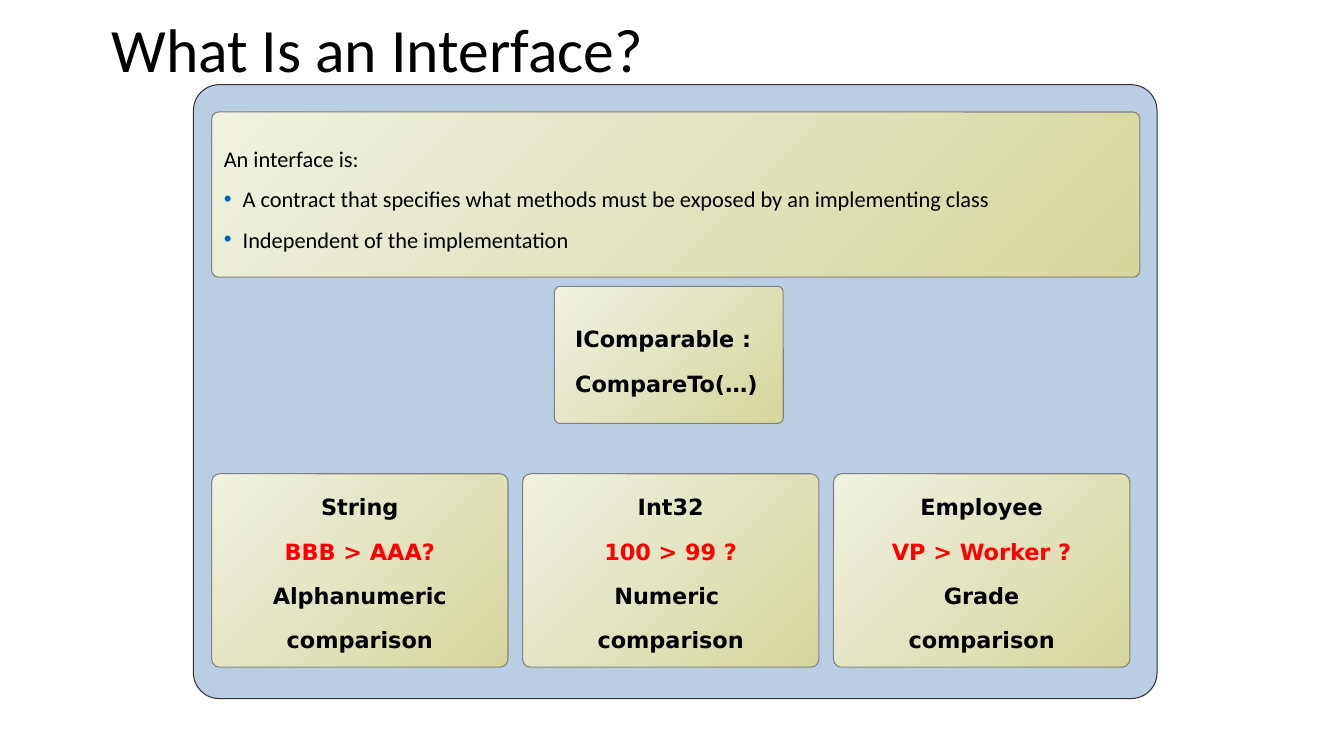
from dataclasses import dataclass

from lxml import etree
from pptx import Presentation
from pptx.dml.color import RGBColor
from pptx.enum.shapes import MSO_SHAPE
from pptx.enum.text import MSO_ANCHOR, PP_ALIGN
from pptx.oxml.ns import qn
from pptx.util import Pt

ROUNDED = MSO_SHAPE.ROUNDED_RECTANGLE
TOP, MIDDLE = MSO_ANCHOR.TOP, MSO_ANCHOR.MIDDLE
LEFT, CENTER = PP_ALIGN.LEFT, PP_ALIGN.CENTER


@dataclass(frozen=True)
class Theme:
    ink: str = "000000"
    question: str = "FF0000"
    bullet: str = "0563C1"
    panel: str = "BBCDE3"
    panel_edge: str = "333333"
    card_light: str = "F0F1E1"
    card_dark: str = "D5D69C"
    card_edge: str = "808080"
    prose_font: str = "Calibri"
    code_font: str = "DejaVu Sans"
    title_size: int = 44
    body_size: int = 16


THEME = Theme()


def rgb(color):
    return RGBColor.from_string(color)


def add_rounded(slide, left, top, width, height, edge):
    box = slide.shapes.add_shape(ROUNDED, Pt(left), Pt(top), Pt(width), Pt(height))
    box.adjustments[0] = 0.042
    box.shadow.inherit = False
    box.line.color.rgb = rgb(edge)
    box.line.width = Pt(0.75)
    return box


def add_panel(slide, left, top, width, height):
    panel = add_rounded(slide, left, top, width, height, THEME.panel_edge)
    panel.fill.solid()
    panel.fill.fore_color.rgb = rgb(THEME.panel)


def add_card(slide, left, top, width, height, anchor):
    card = add_rounded(slide, left, top, width, height, THEME.card_edge)
    card.fill.gradient()
    card.fill.gradient_angle = 315
    for stop, color in zip(card.fill.gradient_stops, (THEME.card_light, THEME.card_dark)):
        stop.position = 0 if color == THEME.card_light else 1
        stop.color.rgb = rgb(color)
    frame = card.text_frame
    frame.word_wrap = True
    frame.vertical_anchor = anchor
    frame.margin_left = frame.margin_top = frame.margin_right = 0
    frame.margin_bottom = Pt(3.6)
    return frame


def style_paragraph(paragraph, font, size, spacing, align=LEFT, bold=False, color=THEME.ink):
    paragraph.alignment = align
    paragraph.line_spacing = spacing
    for run in paragraph.runs:
        run.font.name = font
        run.font.size = Pt(size)
        run.font.bold = bold
        run.font.color.rgb = rgb(color)


def indent(paragraph, left, first_line=0):
    properties = paragraph._p.get_or_add_pPr()
    properties.set("marL", str(Pt(left)))
    properties.set("indent", str(Pt(first_line)))
    return properties


def add_bullet(paragraph):
    properties = indent(paragraph, 20.7, -13.5)
    bullet_color = etree.SubElement(properties, qn("a:buClr"))
    etree.SubElement(bullet_color, qn("a:srgbClr"), val=THEME.bullet)
    etree.SubElement(properties, qn("a:buFont"), typeface="Arial")
    etree.SubElement(properties, qn("a:buChar"), char="•")


def add_title(slide, text):
    title = slide.shapes.add_textbox(Pt(72.5), Pt(-15), Pt(828), Pt(104.4)).text_frame
    title.word_wrap = True
    title.vertical_anchor = MIDDLE
    title.text = text
    style_paragraph(title.paragraphs[0], THEME.prose_font, THEME.title_size, 0.9)


def add_definition(slide, lines):
    definition = add_card(slide, 151.2, 80, 663, 118, MIDDLE)
    definition.text = "\n".join(lines)
    intro, *points = definition.paragraphs
    indent(intro, 7.2)
    for point in points:
        add_bullet(point)
    for paragraph in definition.paragraphs:
        style_paragraph(paragraph, THEME.prose_font, THEME.body_size, 1.5)


def add_contract(slide, lines):
    contract = add_card(slide, 396, 204.5, 163.5, 98, MIDDLE)
    contract.text = "\n".join(lines)
    for paragraph in contract.paragraphs:
        indent(paragraph, 13.7)
        style_paragraph(paragraph, THEME.code_font, THEME.body_size, 1.65, bold=True)


def add_implementation(slide, left, lines):
    implementation = add_card(slide, left, 338.4, 211.7, 138.2, TOP)
    implementation.text = "\n".join(lines)
    for position, paragraph in enumerate(implementation.paragraphs):
        color = THEME.question if position == 1 else THEME.ink
        style_paragraph(paragraph, THEME.code_font, THEME.body_size, 1.65, CENTER, True, color)


def main():
    deck = Presentation()
    deck.slide_width, deck.slide_height = Pt(960), Pt(540)
    slide = deck.slides.add_slide(deck.slide_layouts[6])

    add_panel(slide, 138.2, 60.5, 688.3, 438.5)
    add_title(slide, "What Is an Interface?")
    add_definition(slide, (
        "An interface is:",
        "A contract that specifies what methods must be exposed by an implementing class",
        "Independent of the implementation",
    ))
    add_contract(slide, ("IComparable :", "CompareTo(…)"))

    implementations = (
        ("String", "BBB > AAA?", "Alphanumeric comparison"),
        ("Int32", "100 > 99 ?", "Numeric ", "comparison"),
        ("Employee", "VP > Worker ?", "Grade", "comparison"),
    )
    for column, lines in enumerate(implementations):
        add_implementation(slide, 151.2 + column * 222.1, lines)

    deck.save("out.pptx")


if __name__ == "__main__":
    main()
